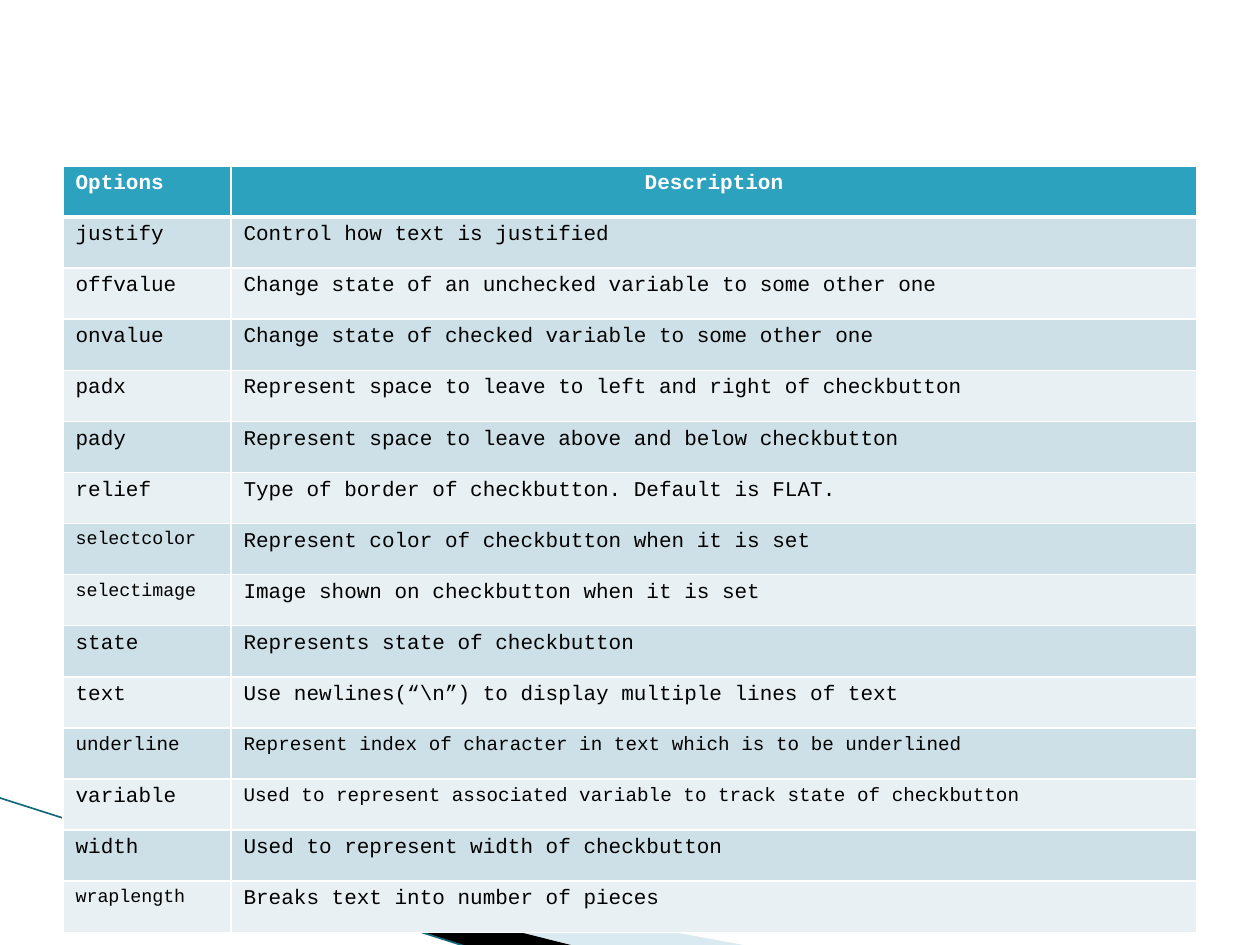
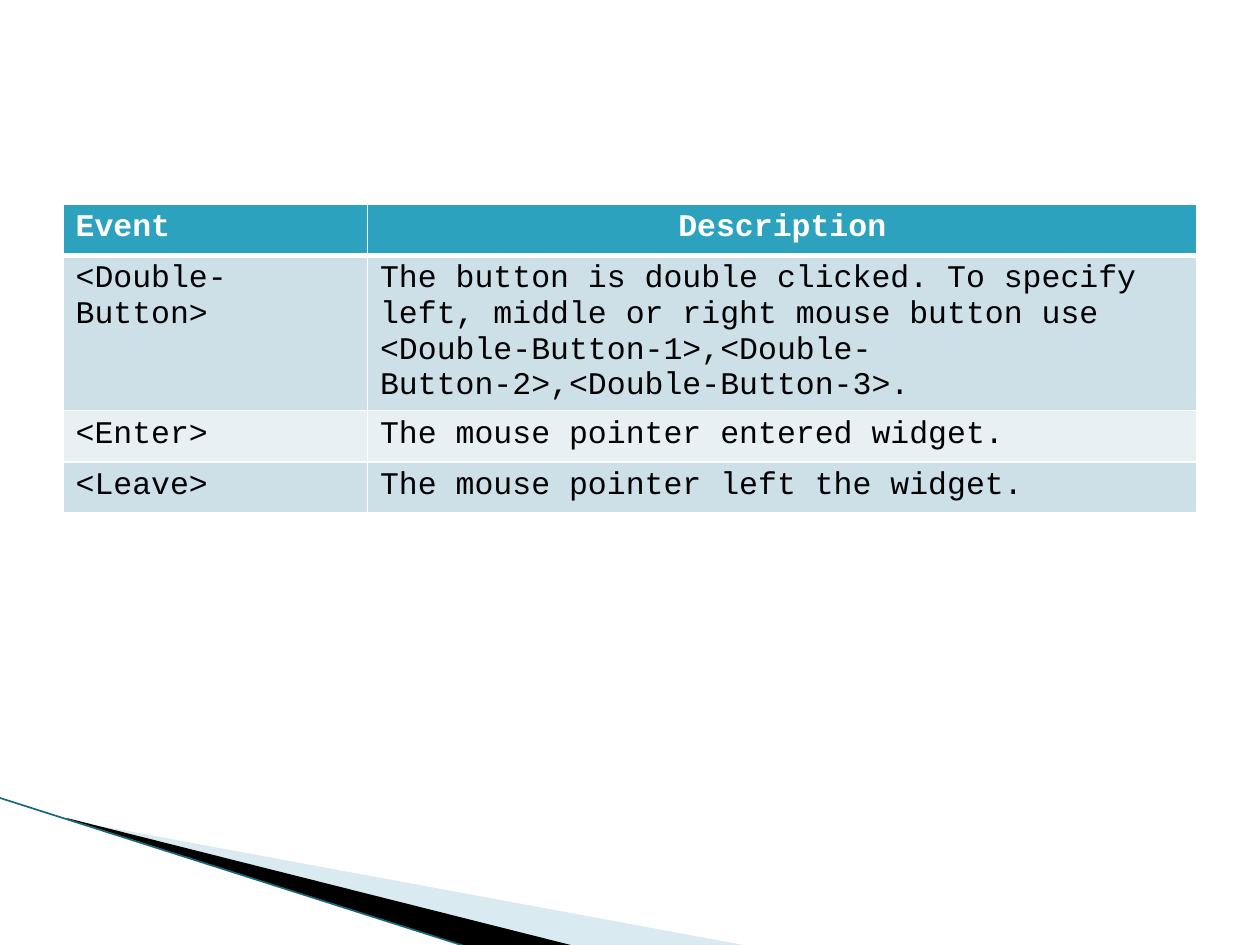
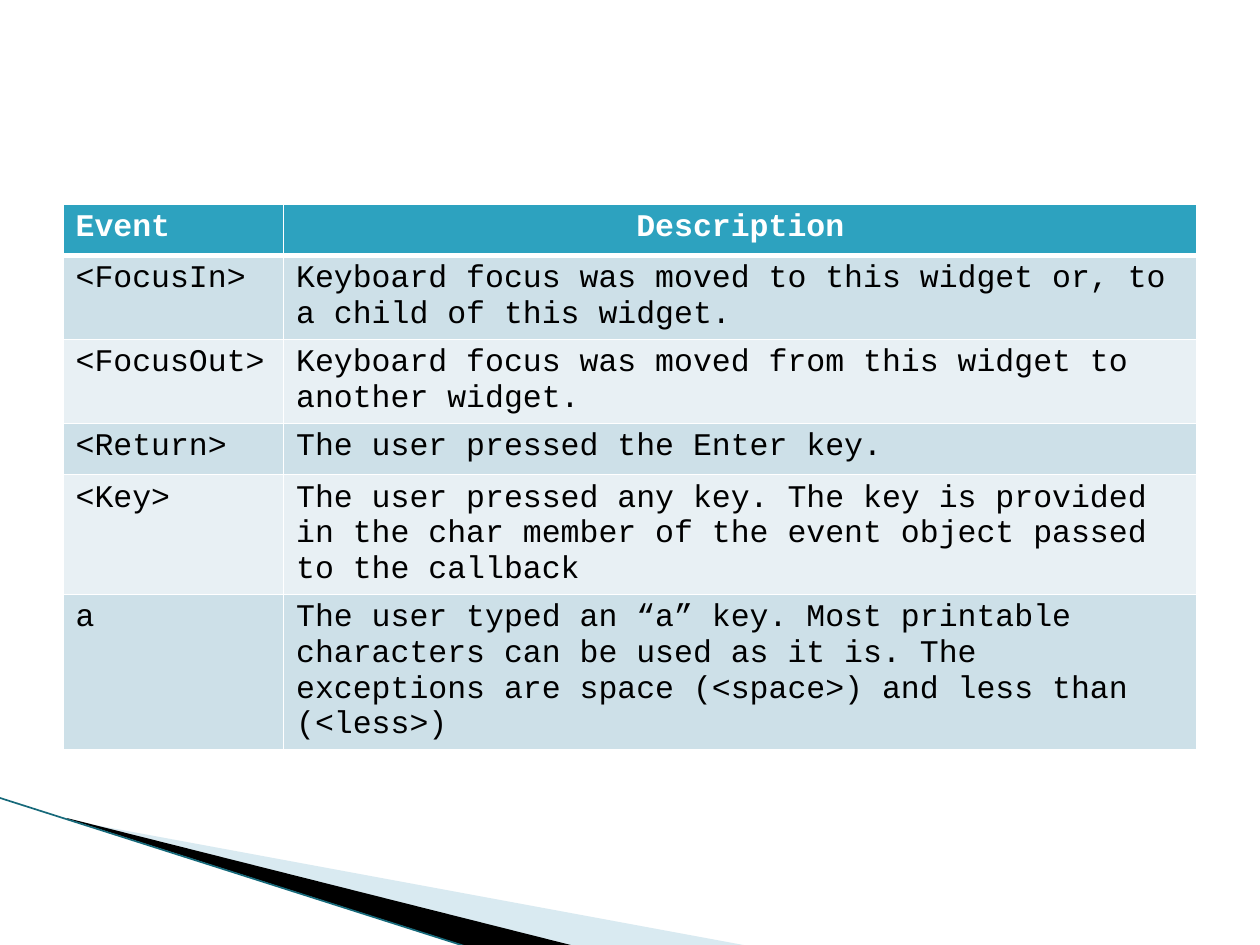
"""Build three slides of reference tables for widget options and events."""
from lxml import etree
from pptx import Presentation
from pptx.dml.color import RGBColor
from pptx.enum.shapes import MSO_CONNECTOR
from pptx.enum.text import PP_ALIGN
from pptx.oxml.ns import qn
from pptx.util import Emu, Pt

STRAIGHT = MSO_CONNECTOR.STRAIGHT
LEFT, CENTER = PP_ALIGN.LEFT, PP_ALIGN.CENTER
PX = 1016
FONT = "Courier New"
COLORS = {
    "white": "FFFFFF",
    "black": "000000",
    "header": "2DA2BF",
    "odd_row": "CDE0E8",
    "even_row": "E8F0F4",
    "pale_wedge": "A0CBDC",
    "edge": "16697A",
}
TABLE_LEFT, ROW_HEIGHT = 450, 365
PALE_FRAME = (702, 4923, 3744, 1422)
PALE_WEDGE = [(495, 5859), (5360, 6759), (4104, 6759), (495, 5850)]
DARK_FRAME = (-54, 5697, 3744, 828)
DARK_WEDGE = [(477, 5843), (4113, 6759), (3360, 6768), (486, 5850)]
EDGE = [(-9, 5697), (3350, 6768)]

OPTIONS = [
    ("Options", "Description"),
    ("justify", "Control how text is justified"),
    ("offvalue", "Change state of an unchecked variable to some other one"),
    ("onvalue", "Change state of checked variable to some other one"),
    ("padx", "Represent space to leave to left and right of checkbutton"),
    ("pady", "Represent space to leave above and below checkbutton"),
    ("relief", "Type of border of checkbutton. Default is FLAT."),
    ("selectcolor", "Represent color of checkbutton when it is set"),
    ("selectimage", "Image shown on checkbutton when it is set"),
    ("state", "Represents state of checkbutton"),
    ("text", "Use newlines(“\\n”) to display multiple lines of text"),
    ("underline", "Represent index of character in text which is to be underlined"),
    ("variable", "Used to represent associated variable to track state of checkbutton"),
    ("width", "Used to represent width of checkbutton"),
    ("wraplength", "Breaks text into number of pieces"),
]
REDUCED_SIZES = {
    "selectcolor": 10.5,
    "selectimage": 10.5,
    "wraplength": 10.5,
    "underline": 11,
    "Represent index of character in text which is to be underlined": 11,
    "Used to represent associated variable to track state of checkbutton": 11,
}
MOUSE_EVENTS = [
    ("Event", "Description"),
    ("<Double-Button>", "The button is double clicked. To specify left, middle or right "
     "mouse button use <Double-Button-1>,<Double-Button-2>,<Double-Button-3>."),
    ("<Enter>", "The mouse pointer entered widget."),
    ("<Leave>", "The mouse pointer left the widget."),
]
KEYBOARD_EVENTS = [
    ("Event", "Description"),
    ("<FocusIn>", "Keyboard focus was moved to this widget or, to a child of this widget."),
    ("<FocusOut>", "Keyboard focus was moved from this widget to another widget."),
    ("<Return>", "The user pressed the Enter key."),
    ("<Key>", "The user pressed any key. The key is provided in the char member "
     "of the event object passed to the callback"),
    ("a", "The user typed an “a” key. Most printable characters can be used as it is. "
     "The exceptions are space (<space>) and less than (<less>)"),
]
TABLES = [
    (1185, (1200, 6900), OPTIONS, 12),
    (1458, (2175, 5925), MOUSE_EVENTS, 18),
    (1458, (1575, 6525), KEYBOARD_EVENTS, 18),
]


def px(length):
    """Turn whole px into EMU."""
    return Emu(length * PX)


def color(name):
    """Return the named colour."""
    return RGBColor.from_string(COLORS[name])


class Deck:
    """Hold the presentation, its style and the current slide."""

    def __init__(self):
        """Start an empty presentation."""
        self.presentation = Presentation()
        self.presentation.slide_width = px(9000)
        self.presentation.slide_height = px(6750)
        self.slide = None

    def add_slide(self):
        """Add a blank slide with the corner decoration."""
        self.slide = self.presentation.slides.add_slide(self.presentation.slide_layouts[6])
        self.add_wedge(PALE_FRAME, PALE_WEDGE, "pale_wedge", 40)
        self.add_wedge(DARK_FRAME, DARK_WEDGE, "black")
        self.add_line(*EDGE, "edge", 0.95)

    def add_wedge(self, frame, points, fill, opacity=100):
        """Draw a filled outline whose points may reach beyond its frame."""
        start, *others = [(px(x), px(y)) for x, y in points]
        builder = self.slide.shapes.build_freeform(*start)
        builder.add_line_segments(others)
        shape = builder.convert_to_shape()
        self.set_frame(shape, *[px(length) for length in frame])
        shape.shadow.inherit = False
        shape.line.fill.background()
        shape.fill.solid()
        shape.fill.fore_color.rgb = color(fill)
        if opacity < 100:
            fill_color = shape._element.spPr.find(".//" + qn("a:srgbClr"))
            etree.SubElement(fill_color, qn("a:alpha"), val=str(opacity * 1000))

    def set_frame(self, shape, left, top, width, height):
        """Change the frame of an outline and keep its points in place."""
        offsets = {"x": shape.left - left, "y": shape.top - top}
        outline = shape._element.spPr.find(".//" + qn("a:path"))
        outline.set("w", str(width))
        outline.set("h", str(height))
        for point in outline.iter(qn("a:pt")):
            for axis, offset in offsets.items():
                point.set(axis, str(int(point.get(axis)) + offset))
        shape.left, shape.top, shape.width, shape.height = left, top, width, height

    def add_line(self, start, end, line_color, width):
        """Draw a straight line."""
        ends = [px(length) for length in (*start, *end)]
        connector = self.slide.shapes.add_connector(STRAIGHT, *ends)
        connector.line.color.rgb = color(line_color)
        connector.line.width = Pt(width)
        etree.SubElement(connector._element.spPr, qn("a:effectLst"))

    def add_table(self, top, widths, rows, size):
        """Add a banded table with a header row."""
        frame = self.slide.shapes.add_table(
            len(rows), len(widths), px(TABLE_LEFT), px(top),
            px(sum(widths)), px(ROW_HEIGHT * len(rows)))
        table = frame.table
        for column, width in zip(table.columns, widths):
            column.width = px(width)
        for row_index, row in enumerate(rows):
            for column_index, text in enumerate(row):
                cell = table.cell(row_index, column_index)
                self.set_borders(cell, row_index)
                self.set_cell(cell, text, REDUCED_SIZES.get(text, size), row_index)
        table.cell(0, 1).text_frame.paragraphs[0].alignment = CENTER

    def set_cell(self, cell, text, size, row_index):
        """Fill a cell and format its text."""
        is_header = row_index == 0
        band = "odd_row" if row_index % 2 else "even_row"
        cell.fill.solid()
        cell.fill.fore_color.rgb = color("header" if is_header else band)
        cell.text_frame.text = text
        paragraph = cell.text_frame.paragraphs[0]
        paragraph.alignment = LEFT
        font = paragraph.runs[0].font
        font.name = FONT
        font.size = Pt(size)
        font.bold = is_header
        font.color.rgb = color("white" if is_header else "black")

    def set_borders(self, cell, row_index):
        """Draw white borders, thicker below the header."""
        properties = cell._tc.get_or_add_tcPr()
        widths = {"L": 1, "R": 1, "T": 3 if row_index == 1 else 1,
                  "B": 3 if row_index == 0 else 1}
        for side, width in widths.items():
            border = etree.SubElement(properties, qn("a:ln" + side), w=str(Pt(width)))
            fill = etree.SubElement(border, qn("a:solidFill"))
            etree.SubElement(fill, qn("a:srgbClr"), val=COLORS["white"])


def main():
    """Build and save the slides."""
    deck = Deck()
    for table in TABLES:
        deck.add_slide()
        deck.add_table(*table)
    deck.presentation.save("out.pptx")


if __name__ == "__main__":
    main()
